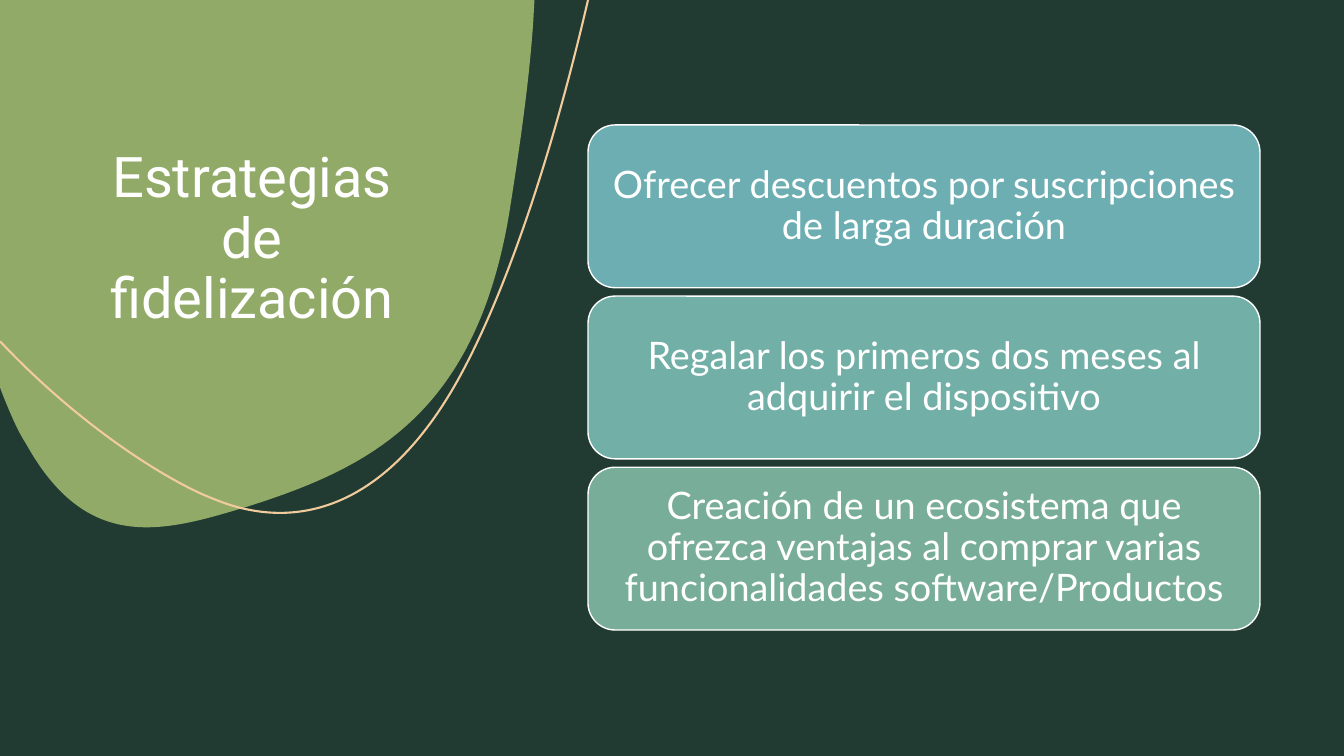
from dataclasses import dataclass
from itertools import islice

from pptx import Presentation
from pptx.dml.color import RGBColor
from pptx.enum.shapes import MSO_SHAPE
from pptx.enum.text import MSO_ANCHOR, PP_ALIGN
from pptx.oxml.ns import qn
from pptx.util import Pt

PX = 9525  # EMU per pixel, slide of 1280 by 720


@dataclass(frozen=True)
class Theme:
    background: RGBColor = RGBColor.from_string("213B32")
    leaf: RGBColor = RGBColor.from_string("91AA68")
    curve: RGBColor = RGBColor.from_string("F1CB9C")
    white: RGBColor = RGBColor.from_string("FFFFFF")
    cards: tuple = ("6CAEB2", "72AFA6", "78AD9A")
    title_font: str = "Roboto"
    title_size: int = 40
    card_font: str = "Lato"
    card_size: int = 27


THEME = Theme()


def add_outline(shapes, start, segments, close):
    """Draw one-point segments as lines and three-point segments as Bézier curves."""
    builder = shapes.build_freeform(*start, scale=PX)
    builder.add_line_segments([point for segment in segments for point in segment], close=close)
    outline = builder.convert_to_shape()
    outline.shadow.inherit = False
    lines = iter(outline.element.xpath(".//a:lnTo"))
    for segment in segments:
        first, *rest = islice(lines, len(segment))
        if rest:
            first.tag = qn("a:cubicBezTo")
        for line in rest:
            first.append(line[0])
            line.getparent().remove(line)
    return outline


def write_text(frame, text, font, size, anchor):
    frame.word_wrap = True
    frame.vertical_anchor = anchor
    paragraph = frame.paragraphs[0]
    paragraph.text = text
    paragraph.alignment = PP_ALIGN.CENTER
    paragraph.line_spacing = 0.9
    paragraph.font.name = font
    paragraph.font.size = Pt(size)
    paragraph.font.color.rgb = THEME.white


presentation = Presentation()
presentation.slide_width = 1280 * PX
presentation.slide_height = 720 * PX
slide = presentation.slides.add_slide(presentation.slide_layouts[6])
slide.background.fill.solid()
slide.background.fill.fore_color.rgb = THEME.background

# Corner decoration
leaf = add_outline(slide.shapes, (509, 0), [
    [(508, 19)],
    [(504, 79), (495, 140), (485, 203)],
    [(453, 395), (352, 446), (234, 483)],
    [(155, 507), (83, 527), (25, 423)],
    [(16, 409), (10, 394), (3, 377)],
    [(0, 369)],
    [(0, 0)],
], close=True)
leaf.fill.solid()
leaf.fill.fore_color.rgb = THEME.leaf
leaf.line.fill.background()

curve = add_outline(slide.shapes, (560, 0), [
    [(525, 151), (481, 281), (436, 362)],
    [(368, 484), (282, 508), (203, 475)],
    [(166, 461), (81, 411), (0, 325)],
], close=False)
curve.fill.background()
curve.line.color.rgb = THEME.curve
curve.line.width = Pt(1.5)

# Title
title = slide.shapes.add_textbox(80 * PX, 80 * PX, 320 * PX, 240 * PX)
write_text(title.text_frame, "Estrategias de fidelización",
           THEME.title_font, THEME.title_size, MSO_ANCHOR.BOTTOM)

# Strategy cards
strategies = [
    "Ofrecer descuentos por suscripciones de larga duración",
    "Regalar los primeros dos meses al adquirir el dispositivo",
    "Creación de un ecosistema que ofrezca ventajas al comprar varias "
    "funcionalidades software/Productos",
]
CARD_TOP, CARD_HEIGHT, CARD_GAP, CARD_INSET = 119, 155, 8, 10

for row, (strategy, color) in enumerate(zip(strategies, THEME.cards)):
    top = CARD_TOP + row * (CARD_HEIGHT + CARD_GAP)
    card = slide.shapes.add_shape(
        MSO_SHAPE.ROUNDED_RECTANGLE, 560 * PX, top * PX, 640 * PX, CARD_HEIGHT * PX)
    card.shadow.inherit = False
    card.fill.solid()
    card.fill.fore_color.rgb = RGBColor.from_string(color)
    card.line.color.rgb = THEME.white
    card.line.width = Pt(1)
    frame = card.text_frame
    frame.margin_left = frame.margin_right = CARD_INSET * PX
    frame.margin_top = frame.margin_bottom = CARD_INSET * PX
    write_text(frame, strategy, THEME.card_font, THEME.card_size, MSO_ANCHOR.MIDDLE)

presentation.save("out.pptx")
